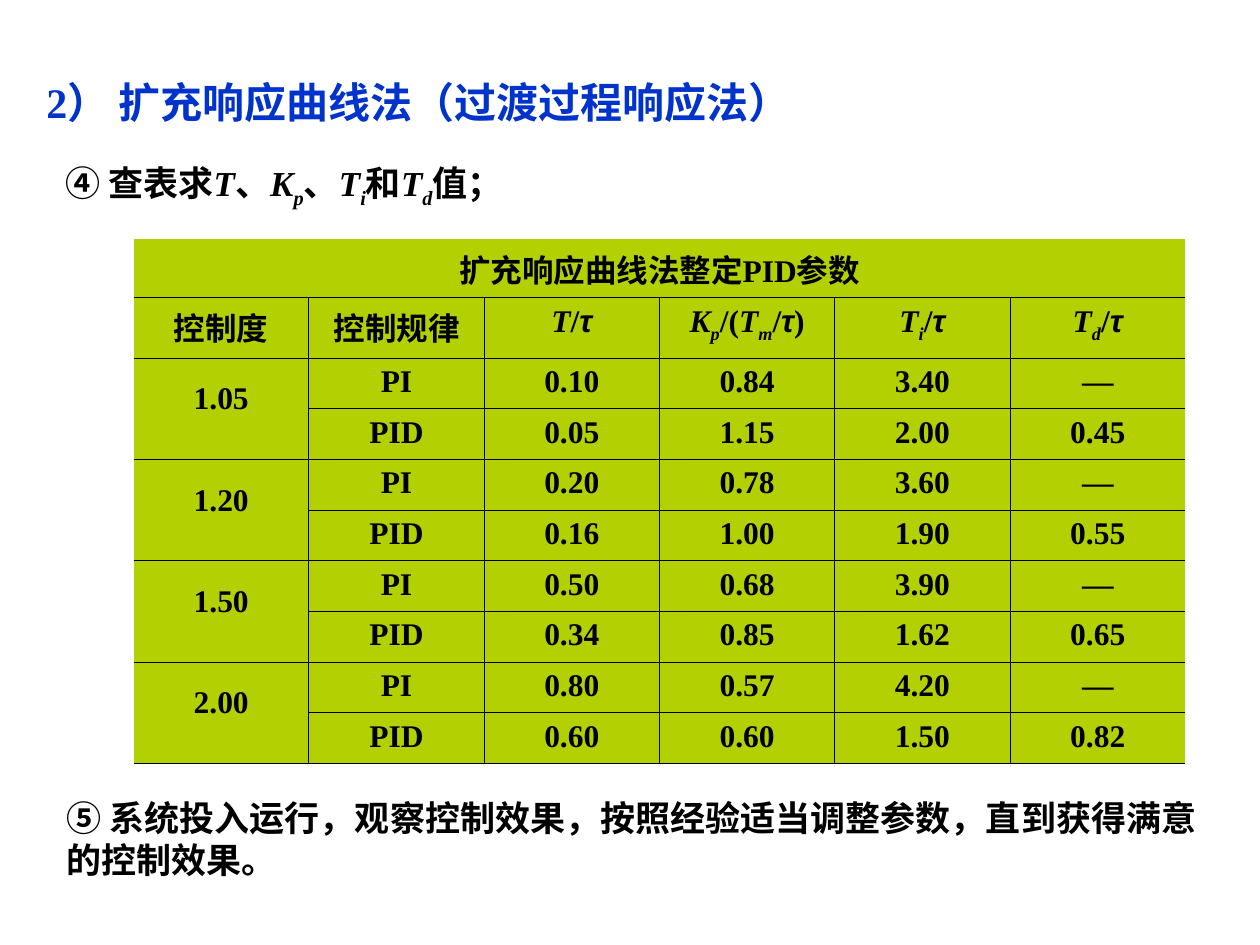
import dataclasses

import lxml.etree
import pptx
import pptx.dml.color
import pptx.enum.text
import pptx.oxml.ns
import pptx.util
from pptx.util import Inches


@dataclasses.dataclass(frozen=True)
class Theme:
    ink: str = "000000"
    heading: str = "0033CC"
    cell: str = "B3D002"
    latin: str = "Times New Roman"
    chinese: str = "Noto Sans CJK SC"
    circled: str = "Noto Sans CJK KR"
    greek: str = "Arial"
    heading_size: int = 24
    body_size: int = 20
    table_size: int = 18
    thick: float = 0.96
    thin: float = 0.45
    hairline: float = 0.34


THEME = Theme()
COLUMNS = 6
TAU = ("τ", "greek")
CAPTION = [("扩充响应曲线法整定PID参数", "")]
HEADERS = [
    [("控制度", "")],
    [("控制规律", "")],
    [("T", "italic"), ("/", ""), TAU],
    [("K", "italic"), ("p", "sub"), ("/(", ""), ("T", "italic"),
     ("m", "sub"), ("/", ""), TAU, (")", "")],
    [("T", "italic"), ("i", "sub"), ("/", ""), TAU],
    [("T", "italic"), ("d", "sub"), ("/", ""), TAU],
]
# Control degree, then the PI and PID values
PARAMETERS = [
    ("1.05", ["0.10", "0.84", "3.40", "—"], ["0.05", "1.15", "2.00", "0.45"]),
    ("1.20", ["0.20", "0.78", "3.60", "—"], ["0.16", "1.00", "1.90", "0.55"]),
    ("1.50", ["0.50", "0.68", "3.90", "—"], ["0.34", "0.85", "1.62", "0.65"]),
    ("2.00", ["0.80", "0.57", "4.20", "—"], ["0.60", "0.60", "1.50", "0.82"]),
]
STEP_4 = [
    ("④ ", "circled"), ("查表求", ""), ("T", "italic"), ("、", ""),
    ("K", "italic"), ("p", "sub"), ("、", ""), ("T", "italic"), ("i", "sub"),
    ("和", ""), ("T", "italic"), ("d", "sub"), ("值；", ""),
]
STEP_5 = [
    ("⑤ ", "circled"),
    ("系统投入运行，观察控制效果，按照经验适当调整参数，直到获得满意的控制效果。", ""),
]
HEADING = [("2） ", ""), ("扩充响应曲线法（过渡过程响应法）", "chinese")]


def rgb(value):
    return pptx.dml.color.RGBColor.from_string(value)


def write_runs(paragraph, pieces, size, color=THEME.ink):
    """Fill a paragraph from (text, style) pairs."""
    for text, style in pieces:
        run = paragraph.add_run()
        run.text = text
        font = run.font
        font.size = pptx.util.Pt(size)
        font.bold = True
        font.italic = style in ("italic", "sub", "greek")
        font.color.rgb = rgb(color)
        named = style in ("greek", "circled", "chinese")
        font.name = getattr(THEME, style) if named else THEME.latin
        properties = run._r.get_or_add_rPr()
        east_asian = THEME.circled if style == "circled" else THEME.chinese
        lxml.etree.SubElement(
            properties, pptx.oxml.ns.qn("a:ea"), typeface=east_asian)
        if style == "sub":
            properties.set("baseline", "-27000")


def add_text(slide, box, pieces, size, color=THEME.ink, inset=0.1, middle=False):
    frame = slide.shapes.add_textbox(*map(Inches, box)).text_frame
    frame.word_wrap = True
    frame.margin_left = Inches(inset)
    if middle:
        frame.vertical_anchor = pptx.enum.text.MSO_ANCHOR.MIDDLE
    write_runs(frame.paragraphs[0], pieces, size, color)


def rule_width(line, column, last):
    """Width of the horizontal rule above row number `line`; 0 is none."""
    if line == 0:
        return 0
    if line in (1, last):
        return THEME.thick
    if line > 2 and line % 2:
        return THEME.hairline if column else 0
    return THEME.thin


def set_borders(cell, **widths):
    properties = cell._tc.get_or_add_tcPr()
    for side in "LRTB":
        width = widths[side]
        line = lxml.etree.SubElement(
            properties, pptx.oxml.ns.qn(f"a:ln{side}"),
            w=str(int(pptx.util.Pt(width))))
        if not width:
            lxml.etree.SubElement(line, pptx.oxml.ns.qn("a:noFill"))
            continue
        fill = lxml.etree.SubElement(line, pptx.oxml.ns.qn("a:solidFill"))
        lxml.etree.SubElement(
            fill, pptx.oxml.ns.qn("a:srgbClr"), val=THEME.ink)


def write_cell(cell, pieces, line_spacing=None):
    paragraph = cell.text_frame.paragraphs[0]
    paragraph.alignment = pptx.enum.text.PP_ALIGN.CENTER
    if line_spacing:
        paragraph.line_spacing = line_spacing
    write_runs(paragraph, pieces, THEME.table_size)


def style_grid(table, rows):
    for row in range(rows):
        for column in range(COLUMNS):
            cell = table.cell(row, column)
            inner = THEME.thin if row else 0
            # A merged control degree is closed by the rule under its pair
            bottom = row + (2 if column == 0 and row > 1 and row % 2 == 0 else 1)
            set_borders(
                cell,
                L=inner if column else 0,
                R=inner if column < COLUMNS - 1 else 0,
                T=rule_width(row, column, rows),
                B=rule_width(bottom, column, rows))
            cell.fill.solid()
            cell.fill.fore_color.rgb = rgb(THEME.cell)


def add_parameter_table(slide, box, header_height=0.48):
    rows = 2 + 2 * len(PARAMETERS)
    left, top, width, height = box
    table = slide.shapes.add_table(rows, COLUMNS, *map(Inches, box)).table
    table.first_row = table.horz_banding = False
    for column in table.columns:
        column.width = Inches(width / COLUMNS)
    for index, row in enumerate(table.rows):
        row.height = Inches(
            header_height if index == 1 else (height - header_height) / (rows - 1))
    style_grid(table, rows)

    table.cell(0, 0).merge(table.cell(0, COLUMNS - 1))
    write_cell(table.cell(0, 0), CAPTION)
    for column, header in enumerate(HEADERS):
        write_cell(table.cell(1, column), header)
    for pair, (degree, pi, pid) in enumerate(PARAMETERS):
        first = 2 + 2 * pair
        table.cell(first, 0).merge(table.cell(first + 1, 0))
        write_cell(table.cell(first, 0), [(degree, "")], line_spacing=1.5)
        for row, values in enumerate((["PI", *pi], ["PID", *pid]), first):
            for column, value in enumerate(values, 1):
                write_cell(table.cell(row, column), [(value, "")])


def main():
    presentation = pptx.Presentation()
    presentation.slide_width = Inches(10)
    presentation.slide_height = Inches(7.5)
    slide = presentation.slides.add_slide(presentation.slide_layouts[6])
    add_parameter_table(slide, (1.06, 1.9, 8.35, 4.1))
    add_text(slide, (0.43, 6.27, 9.25, 0.77), STEP_5, THEME.body_size)
    add_text(slide, (0.27, 0.48, 6.3, 0.65), HEADING, THEME.heading_size,
             THEME.heading, middle=True)
    add_text(slide, (0.35, 1.23, 6.46, 0.48), STEP_4, THEME.body_size, inset=0.17)
    presentation.save("out.pptx")


if __name__ == "__main__":
    main()
